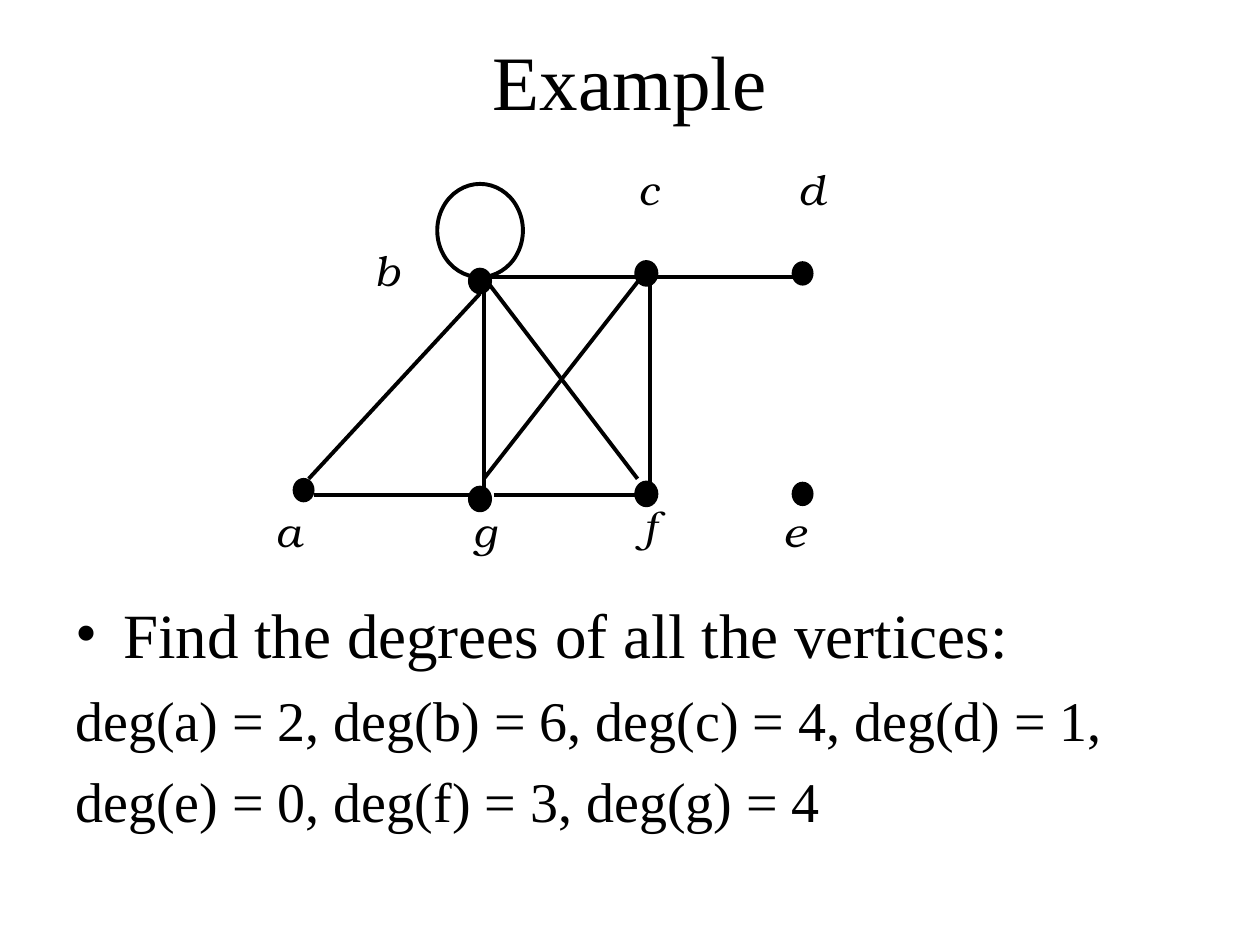
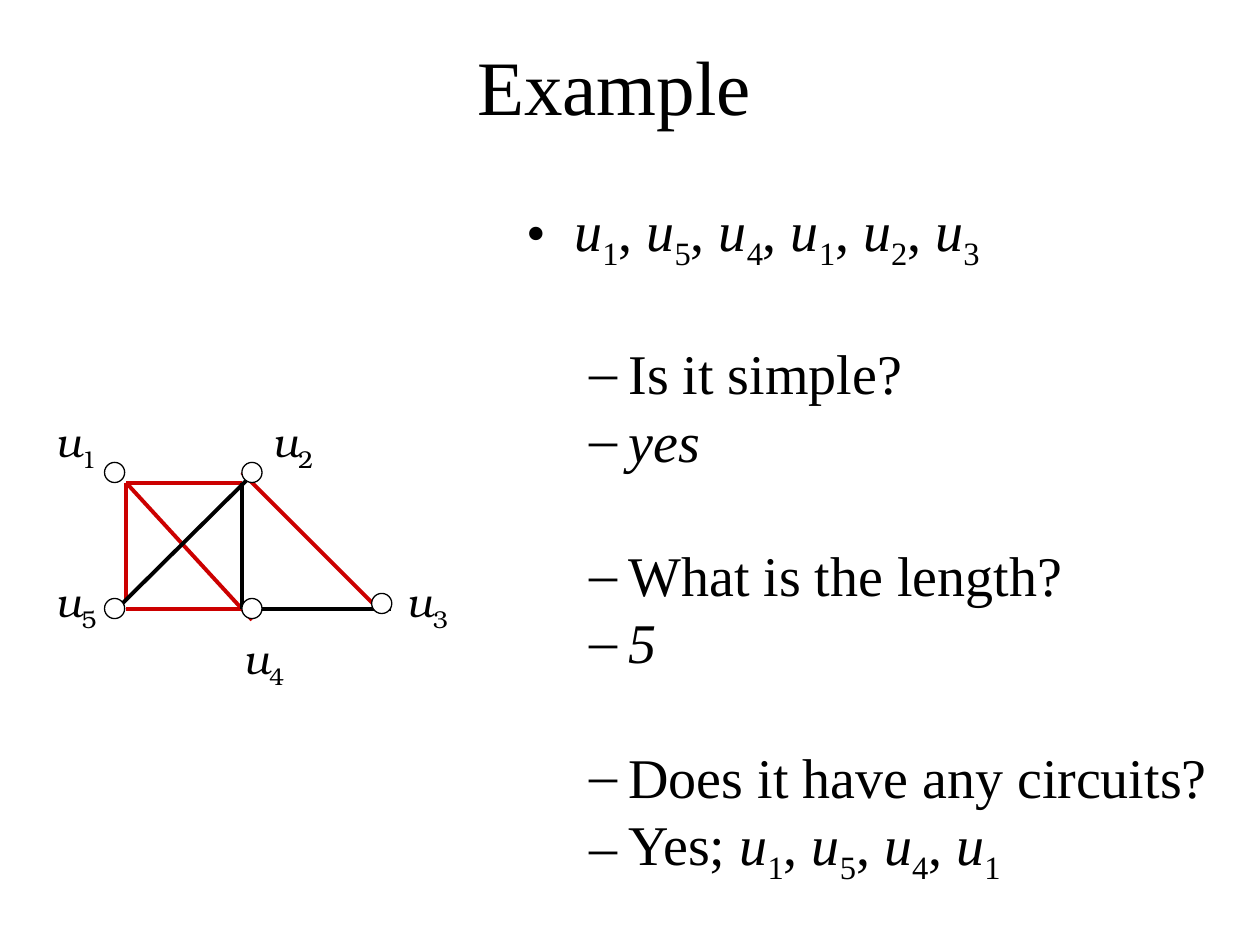
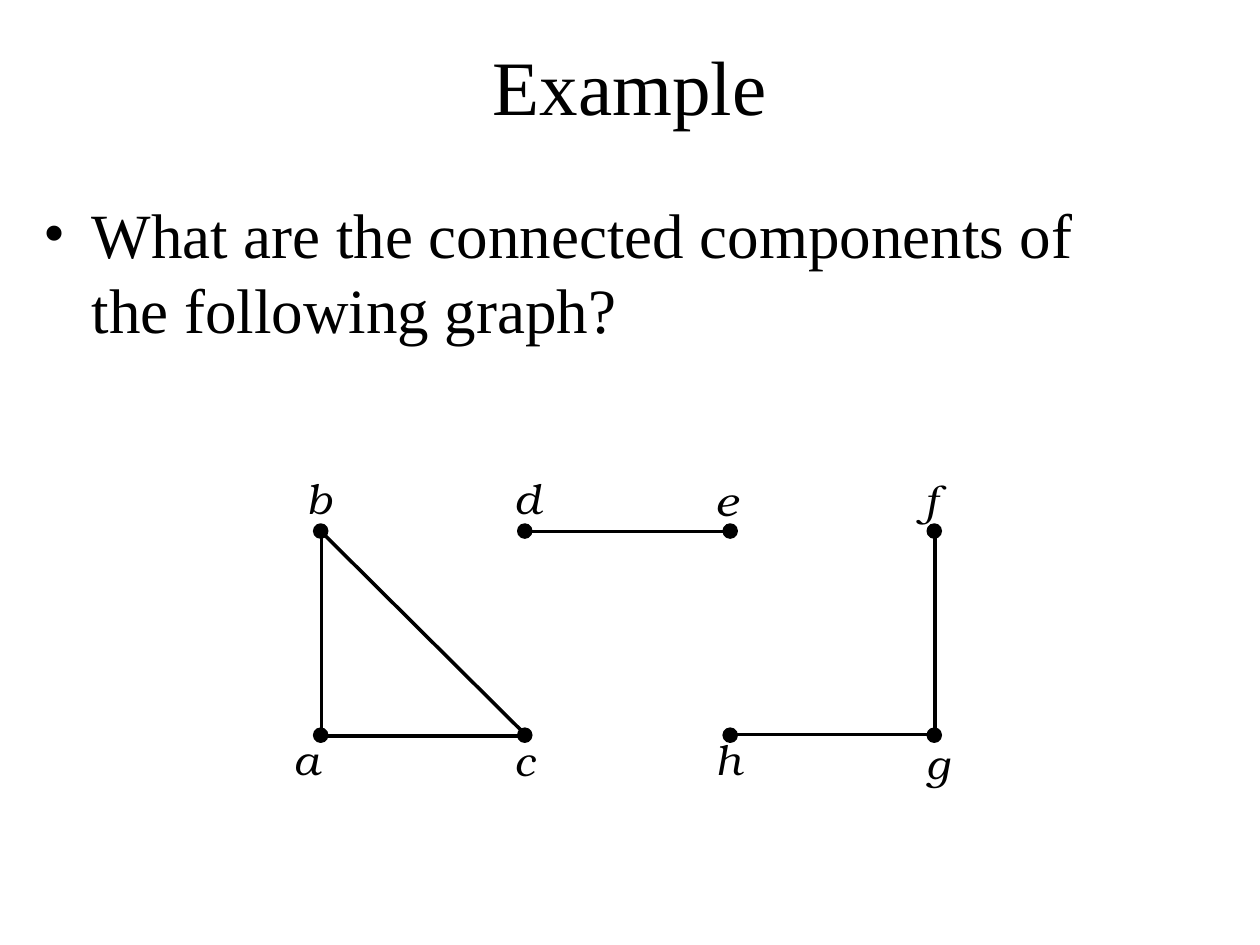
from itertools import product
from lxml.etree import SubElement
from pptx import Presentation
from pptx.dml.color import RGBColor
from pptx.enum.shapes import MSO_CONNECTOR, MSO_SHAPE
from pptx.enum.text import MSO_ANCHOR, PP_ALIGN
from pptx.oxml.ns import qn
from pptx.util import Inches, Pt

BLACK = RGBColor(0, 0, 0)
WHITE = RGBColor(255, 255, 255)
RED = RGBColor(0xCC, 0, 0)
SERIF = "Times New Roman"
BONUM = "TeX Gyre Bonum"
INDENT = {"•": (0.38, -0.38), "–": (0.81, -0.31)}


def write(slide, box, lines, font=SERIF, inset=True):
    frame = slide.shapes.add_textbox(*map(Inches, box)).text_frame
    frame.word_wrap = True
    if not inset:
        frame.margin_left = frame.margin_right = 0
        frame.margin_top = frame.margin_bottom = 0
    for count, (text, size, mark, gap) in enumerate(lines):
        para = frame.add_paragraph() if count else frame.paragraphs[0]
        if mark:
            left, hang = INDENT[mark]
            props = para._p.get_or_add_pPr()
            props.set("marL", str(Inches(left)))
            props.set("indent", str(Inches(hang)))
            SubElement(props, qn("a:buFont"), typeface=font)
            SubElement(props, qn("a:buChar"), char=mark)
        para.space_before = Pt(gap)
        para.font.name = font
        para.font.size = Pt(size)
        para.font.color.rgb = BLACK
        for part in text.split("|"):
            run = para.add_run()
            run.text = part.lstrip("/_")
            if part.startswith("/"):
                run.font.italic = True
            elif part.startswith("_"):
                run.font._element.set("baseline", "-25000")
    return frame


walk, loop = ("|, |".join(f"/u|_{n}" for n in nums)
              for nums in ((1, 5, 4, 1, 2, 3), (1, 5, 4, 1)))

degrees = {
    "title": (0.5, 0.17, 9, 0.92),
    "body": (0.5, 4.68, 9, 2.48),
    "lines": [
        ("Find the degrees of all the vertices:", 36, "•", 0),
        ("deg(a) = 2, deg(b) = 6, deg(c) = 4, deg(d) = 1,", 32, "", 8),
        ("deg(e) = 0, deg(f) = 3, deg(g) = 4", 32, "", 8),
    ],
    "weight": 2.25,
    "edges": {BLACK: [
        (3.81, 2.2, 5.16, 2.2), (5.16, 2.2, 6.4, 2.2),
        (3.84, 2.32, 3.84, 3.92), (5.16, 2.2, 5.16, 3.92),
        (2.49, 3.93, 3.73, 3.93), (3.92, 3.93, 5.16, 3.93),
        (3.84, 2.2, 5.06, 3.8), (5.09, 2.2, 3.84, 3.8),
        (3.81, 2.33, 2.45, 3.8),
    ]},
    "dots": [
        (3.47, 1.46, 0.68, 0.74, None, 2.25),
        *[(x, y, 0.16, 0.18, BLACK, 2.25) for x, y in
          ((3.73, 2.14), (3.73, 3.87), (5.05, 2.08), (5.05, 3.83))],
        *[(x, y, 0.16, 0.18, BLACK, 1) for x, y in
          ((2.33, 3.8), (6.29, 2.08), (6.29, 3.83))],
    ],
    "labels": [
        ("/a", 2.19, 4.01), ("/b", 2.97, 1.94), ("/c", 5.07, 1.3),
        ("/d", 6.34, 1.3), ("/e", 6.22, 4.01), ("/f", 5.1, 3.97),
        ("/g", 3.76, 4.01),
    ],
}

paths = {
    "title": (0.25, 0.17, 9.25, 1),
    "body": (4.08, 1.5, 5.67, 5.75),
    "lines": [
        (walk, 32, "•", 0),
        ("Is it simple?", 32, "–", 38.4),
        ("/yes", 32, "–", 0),
        ("What is the length?", 32, "–", 38.4),
        ("/5", 32, "–", 0),
        ("Does it have any circuits?", 32, "–", 38.4),
        ("Yes; |" + loop, 32, "–", 0),
    ],
    "weight": 2.25,
    "edges": {
        RED: [
            (1, 3.83, 2, 4.92), (1.92, 3.75, 3, 4.83),
            (1, 3.83, 1.92, 3.83), (1, 3.83, 1, 4.75),
            (1, 4.83, 1.92, 4.83),
        ],
        BLACK: [
            (0.93, 4.83, 2.02, 3.75), (2.02, 4.83, 3.1, 4.83),
            (1.92, 3.83, 1.92, 4.83),
        ],
    },
    "dots": [(x, y, 0.16, 0.16, WHITE, 0.75) for x, y in
             ((0.83, 3.67), (1.92, 3.67), (0.83, 4.75),
              (1.92, 4.75), (2.95, 4.71))],
    "labels": [
        ("/u|_1", 0.44, 3.3), ("/u|_2", 2.16, 3.3), ("/u|_3", 3.23, 4.57),
        ("/u|_4", 1.93, 5.02), ("/u|_5", 0.44, 4.57),
    ],
}

parts = {
    "title": (0.5, 0.17, 9, 1),
    "body": (0.25, 1.5, 9, 1.47),
    "lines": [
        ("What are the connected components of the following graph?",
         36, "•", 0),
    ],
    "weight": 2,
    "edges": {BLACK: [
        (2.55, 4.21, 2.55, 5.82), (2.55, 5.84, 4.16, 5.84),
        (2.58, 4.25, 4.17, 5.83), (4.17, 4.22, 5.77, 4.22),
        (7.42, 4.23, 7.42, 5.84), (5.81, 5.83, 7.42, 5.83),
    ]},
    "dots": [(x, y, 0.11, 0.11, BLACK, 1) for x, y in
             product((2.49, 4.11, 5.74, 7.36), (4.16, 5.78))],
    "labels": [
        ("/a", 2.33, 5.82), ("/b", 2.43, 3.75), ("/c", 4.08, 5.83),
        ("/d", 4.08, 3.75), ("/e", 5.68, 3.77), ("/f", 7.33, 3.77),
        ("/g", 7.35, 5.85), ("/h", 5.68, 5.82),
    ],
}

deck = Presentation()
deck.slide_width, deck.slide_height = Inches(10), Inches(7.5)

for graph in (degrees, paths, parts):
    slide = deck.slides.add_slide(deck.slide_layouts[6])
    title = write(slide, graph["title"], [("Example", 44, "", 0)])
    title.vertical_anchor = MSO_ANCHOR.MIDDLE
    title.paragraphs[0].alignment = PP_ALIGN.CENTER
    write(slide, graph["body"], graph["lines"])

    for color, edges in graph["edges"].items():
        for ends in edges:
            edge = slide.shapes.add_connector(
                MSO_CONNECTOR.STRAIGHT, *map(Inches, ends))
            edge.line.color.rgb = color
            edge.line.width = Pt(graph["weight"])
            SubElement(edge._element.spPr, qn("a:effectLst"))

    for *box, fill, width in graph["dots"]:
        dot = slide.shapes.add_shape(MSO_SHAPE.OVAL, *map(Inches, box))
        dot.shadow.inherit = False
        if fill is None:
            dot.fill.background()
        else:
            dot.fill.solid()
            dot.fill.fore_color.rgb = fill
        dot.line.color.rgb = BLACK
        dot.line.width = Pt(width)

    for text, x, y in graph["labels"]:
        write(slide, (x, y, 0.5, 0.4), [(text, 24, "", 0)], BONUM, False)

deck.save("out.pptx")
